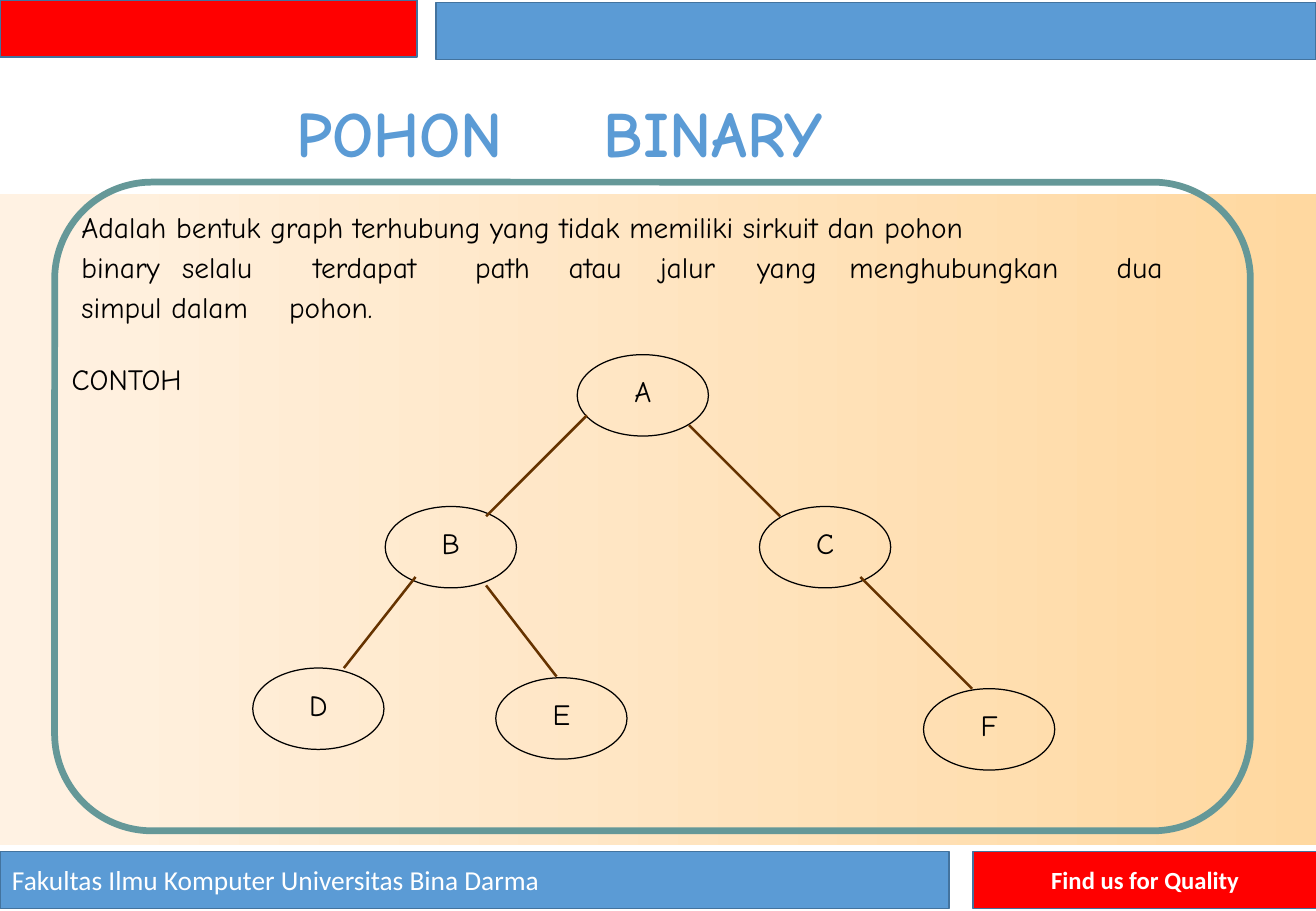
import pptx
import pptx.dml.color
import pptx.enum.shapes
import pptx.enum.text
import pptx.oxml.ns
import pptx.util
from lxml import etree

Inches = pptx.util.Inches
Pt = pptx.util.Pt
RGBColor = pptx.dml.color.RGBColor
ShapeType = pptx.enum.shapes.MSO_SHAPE
Align = pptx.enum.text.PP_ALIGN
Anchor = pptx.enum.text.MSO_ANCHOR

WHITE = RGBColor(0xFF, 0xFF, 0xFF)
BLACK = RGBColor(0x00, 0x00, 0x00)
RED = RGBColor(0xFF, 0x00, 0x00)
BLUE = RGBColor(0x5B, 0x9B, 0xD5)
BAR_BORDER = RGBColor(0x43, 0x73, 0x9E)
SAND = RGBColor(0xFF, 0xD8, 0xA0)
CREAM = RGBColor(0xFF, 0xF2, 0xE3)
TEAL = RGBColor(0x65, 0x98, 0x98)
BROWN = RGBColor(0x66, 0x33, 0x00)

BODY = {"font": "Comic Neue", "size": 30, "color": BLACK, "spacing": 22, "baseline": 2}
TITLE = {"font": "Comic Neue", "size": 66, "color": BLUE, "spacing": 46, "baseline": 1, "bold": True}

TITLE_WORDS = [("POHON", 2.44, 2.39), ("BINARY", 4.97, 2.56)]
DEFINITION = [
    (1.75, [("Adalah bentuk graph terhubung yang tidak memiliki sirkuit dan pohon", 0.67, 9.03)]),
    (2.08, [
        ("binary", 0.67, 0.8), ("selalu", 1.5, 0.96), ("terdapat", 2.58, 1.21),
        ("path", 3.91, 0.65), ("atau", 4.68, 0.63), ("jalur", 5.43, 0.68),
        ("yang", 6.23, 0.65), ("menghubungkan", 6.99, 2.08), ("dua", 9.19, 0.52),
    ]),
    (2.41, [("simpul dalam", 0.67, 1.69), ("pohon.", 2.38, 0.88)]),
    (3, [("CONTOH", 0.59, 1.3)]),
]
NODES = [
    ("A", 4.75, 2.92), ("B", 3.17, 4.17), ("C", 6.25, 4.17),
    ("D", 2.08, 5.5), ("E", 4.08, 5.58), ("F", 7.6, 5.67),
]
EDGES = [
    (4.83, 3.42, 4, 4.25), (5.67, 3.5, 6.42, 4.25),
    (3.42, 4.75, 2.83, 5.5), (4, 4.82, 4.58, 5.57), (7.08, 4.75, 8, 5.67),
]


def write_text(frame, text, *, font, size, color, bold=False, align=Align.LEFT,
               spacing=None, baseline=None):
    paragraph = frame.paragraphs[0]
    paragraph.alignment = align
    if spacing:
        paragraph.line_spacing = Pt(spacing)
    run = paragraph.add_run()
    run.text = text
    run.font.name = font
    run.font.size = Pt(size)
    run.font.bold = bold
    run.font.color.rgb = color
    if baseline:
        run._r.get_or_add_rPr().set("baseline", str(baseline * 1000))


def clear_margins(frame):
    frame.margin_left = frame.margin_right = frame.margin_top = frame.margin_bottom = 0


def add_label(slide, text, left, top, width, height, **text_format):
    box = slide.shapes.add_textbox(Inches(left), Inches(top), Inches(width), Inches(height))
    clear_margins(box.text_frame)
    box.text_frame.word_wrap = True
    write_text(box.text_frame, text, **text_format)


def add_figure(slide, kind, left, top, width, height, fill=None, line=None, line_width=1):
    shape = slide.shapes.add_shape(kind, Inches(left), Inches(top), Inches(width), Inches(height))
    shape.shadow.inherit = False
    if fill is None:
        shape.fill.background()
    else:
        shape.fill.solid()
        shape.fill.fore_color.rgb = fill
    if line is None:
        shape.line.fill.background()
    else:
        shape.line.color.rgb = line
        shape.line.width = Pt(line_width)
    return shape


def add_bar(slide, left, top, width, fill, text=None, **text_format):
    bar = add_figure(slide, ShapeType.RECTANGLE, left, top, width, 0.47, fill, BAR_BORDER)
    if text:
        bar.text_frame.vertical_anchor = Anchor.MIDDLE
        write_text(bar.text_frame, text, font="Calibri", color=WHITE, **text_format)


def add_background(slide):
    panel = add_figure(slide, ShapeType.RECTANGLE, 0, 1.6, 10.83, 5.36)
    panel.fill.gradient()
    panel.fill.gradient_angle = 180
    for stop, color in zip(panel.fill.gradient_stops, (SAND, CREAM)):
        stop.color.rgb = color


def add_node(slide, letter, left, top):
    node = add_figure(slide, ShapeType.OVAL, left, top, 1.08, 0.67, line=BLACK, line_width=0.75)
    clear_margins(node.text_frame)
    node.text_frame.vertical_anchor = Anchor.MIDDLE
    write_text(node.text_frame, letter, align=Align.CENTER, **BODY)


def add_edge(slide, *ends):
    edge = slide.shapes.add_connector(
        pptx.enum.shapes.MSO_CONNECTOR.STRAIGHT, *[Inches(value) for value in ends])
    edge.line.color.rgb = BROWN
    edge.line.width = Pt(1.5)
    etree.SubElement(edge._element.spPr, pptx.oxml.ns.qn("a:effectLst"))


def main():
    presentation = pptx.Presentation()
    presentation.slide_width = Inches(10.83)
    presentation.slide_height = Inches(7.5)
    slide = presentation.slides.add_slide(presentation.slide_layouts[6])

    add_background(slide)
    add_bar(slide, 0, 0, 3.43, RED)
    add_bar(slide, 3.59, 0.02, 7.24, BLUE)
    add_bar(slide, 0, 7.01, 7.81, BLUE, "Fakultas Ilmu Komputer Universitas Bina Darma", size=16.2)
    add_bar(slide, 8.01, 7.01, 2.83, RED, "Find us for Quality",
            size=14.6, bold=True, align=Align.CENTER)

    frame = add_figure(slide, ShapeType.ROUNDED_RECTANGLE, 0.45, 1.5, 9.84, 5.34,
                       line=TEAL, line_width=4)
    frame.adjustments[0] = 0.15

    for node in NODES:
        add_node(slide, *node)
    for edge in EDGES:
        add_edge(slide, *edge)

    for word, left, width in TITLE_WORDS:
        add_label(slide, word, left, 0.85, width, 0.64, **TITLE)
    for top, words in DEFINITION:
        for word, left, width in words:
            add_label(slide, word, left, top, width, 0.31, **BODY)

    presentation.save("out.pptx")


if __name__ == "__main__":
    main()
